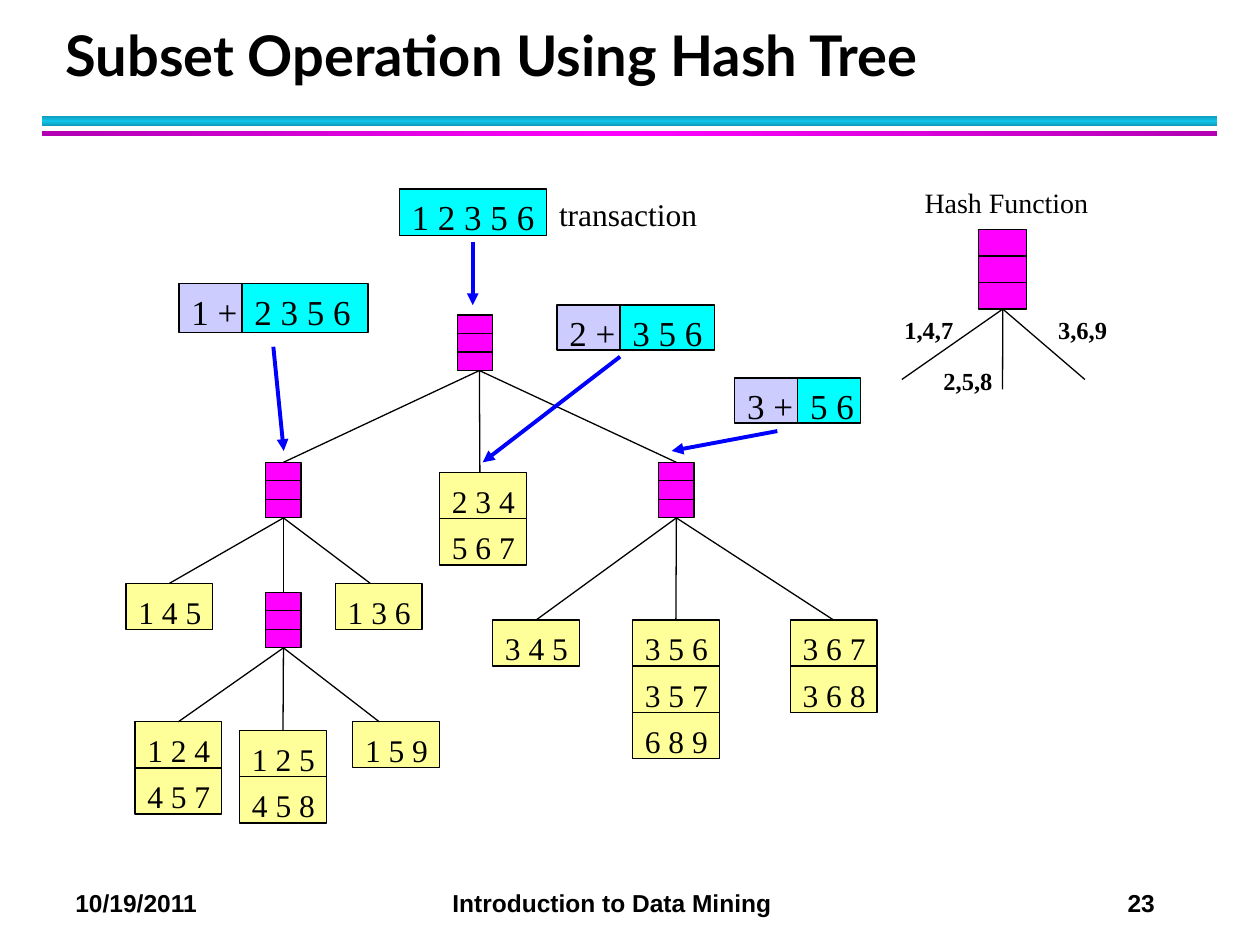
from copy import deepcopy

from lxml import etree
from pptx import Presentation
from pptx import util as u
from pptx.dml import color
from pptx.enum import shapes, text
from pptx.oxml import ns

BLACK = color.RGBColor(0x00, 0x00, 0x00)
BLUE = color.RGBColor(0x00, 0x00, 0xFF)
PINK = color.RGBColor(0xFF, 0x00, 0xFF)
PLUM = color.RGBColor(0xB2, 0x00, 0xB2)
CYAN = color.RGBColor(0x00, 0xFF, 0xFF)
LILAC = color.RGBColor(0xCC, 0xCC, 0xFF)
CREAM = color.RGBColor(0xFF, 0xFF, 0x99)
SKY = color.RGBColor(0x12, 0xC2, 0xE9)
TEAL = color.RGBColor(0x0E, 0x9B, 0xBA)

PAD = 0.25
NODE = (0.71, 1.12)
LEAF = (1.75, 0.93)
HEAD = 1.27

NODES = {"root": (6.68, 0), "left": (2.82, 2.97),
         "right": (10.74, 2.97), "low": (2.82, 5.59)}
LEAVES = [
    ("root", 6.32, 3.18, ["2 3 4", "5 6 7"]),
    ("left", 0, 5.41, ["1 4 5"]),
    ("left", 4.22, 5.41, ["1 3 6"]),
    ("right", 7.39, 6.15, ["3 4 5"]),
    ("right", 10.21, 6.15, ["3 5 6", "3 5 7", "6 8 9"]),
    ("right", 13.39, 6.15, ["3 6 7", "3 6 8"]),
    ("low", 0.18, 8.2, ["1 2 4", "4 5 7"]),
    ("low", 2.29, 8.38, ["1 2 5", "4 5 8"]),
    ("low", 4.57, 8.2, ["1 5 9"]),
]
LIMBS = [("root", "left"), ("root", "right"), ("left", "low")]
SHIFT = {"root": 0.09, "2 3 4": -0.06, "1 3 6": -0.17, "1 5 9": -0.34}
ARROWS = [
    ((9.53, 4.88), (9.53, 6.15)),
    ((5.51, 6.99), (5.72, 9.09)),
    ((12.5, 7.19), (9.73, 9.32)),
    ((15.67, 8.69), (13.54, 9.09)),
]


def write(frame, words, size=18, font="Times New Roman", bold=False, top=0.13,
          foot=0.13, wrap=True, anchor=text.MSO_ANCHOR.TOP, lead=None, tabs=()):
    frame.auto_size = text.MSO_AUTO_SIZE.NONE
    frame.word_wrap = wrap
    frame.vertical_anchor = anchor
    frame.margin_left, frame.margin_right = u.Cm(PAD), u.Cm(0)
    frame.margin_top, frame.margin_bottom = u.Cm(top), u.Cm(foot)
    para = frame.paragraphs[0]
    para.text = words
    para.alignment = text.PP_ALIGN.LEFT
    if lead:
        para.line_spacing = u.Pt(lead)
    if tabs:
        stops = etree.SubElement(para._p.get_or_add_pPr(), ns.qn("a:tabLst"))
        for stop in tabs:
            etree.SubElement(stops, ns.qn("a:tab"), pos=str(u.Cm(stop)), algn="l")
    face = para.runs[0].font
    face.size, face.name, face.bold = u.Pt(size), font, bold
    face.color.rgb = BLACK


def label(slide, x, y, w, h, words, **form):
    box = slide.shapes.add_textbox(u.Cm(x), u.Cm(y), u.Cm(w), u.Cm(h))
    write(box.text_frame, words, **form)


def block(slide, x, y, w, h, fill, words=None, **form):
    rect = slide.shapes.add_shape(shapes.MSO_SHAPE.RECTANGLE,
                                  u.Cm(x), u.Cm(y), u.Cm(w), u.Cm(h))
    rect.shadow.inherit = False
    rect.fill.solid()
    rect.fill.fore_color.rgb = fill
    rect.line.color.rgb = BLACK
    rect.line.width = u.Pt(0.75)
    if words:
        write(rect.text_frame, words, foot=0, **form)
    return rect


def line(slide, start, end, tint=BLACK, width=0.75, arrow=False):
    link = slide.shapes.add_connector(shapes.MSO_CONNECTOR.STRAIGHT,
                                      *(u.Cm(n) for n in (*start, *end)))
    link.line.color.rgb = tint
    link.line.width = u.Pt(width)
    if arrow:
        etree.SubElement(link.line._get_or_add_ln(), ns.qn("a:tailEnd"),
                         type="triangle")
    etree.SubElement(link._element.spPr, ns.qn("a:effectLst"))
    return link


def node(slide, x, y, w, h):
    rect = block(slide, x, y, w, h, PINK)
    for part in (1, 2):
        level = y + h * part / 3
        line(slide, (x, level), (x + w, level))
    return rect


def limb(slide, top, low, begin=0, end=0):
    start = ((top.left + top.width / 2) / u.Cm(1) + begin,
             (top.top + top.height) / u.Cm(1))
    stop = ((low.left + low.width / 2) / u.Cm(1) + end, low.top / u.Cm(1))
    link = line(slide, start, stop)
    if not begin:
        link.begin_connect(top, 2)
    if not end:
        link.end_connect(low, 0)


def tree(slide, x, y):
    nodes = {name: node(slide, x + dx, y + dy, *NODE)
             for name, (dx, dy) in NODES.items()}
    for top, low in LIMBS:
        limb(slide, nodes[top], nodes[low], SHIFT.get(top, 0))
    for top, dx, dy, sets in LEAVES:
        stack = [block(slide, x + dx, y + dy + row * LEAF[1], *LEAF, CREAM,
                       words, top=0.19) for row, words in enumerate(sets)]
        limb(slide, nodes[top], stack[0], SHIFT.get(top, 0), SHIFT.get(sets[0], 0))


def split(slide, x, y, w, h, first, rest):
    block(slide, x, y, HEAD, h, LILAC, first, size=20)
    block(slide, x + HEAD, y, w - HEAD, h, CYAN, rest, size=20)


def basket(slide, x, y, w, h):
    block(slide, x, y, w, h, CYAN, "1 2 3 5 6", size=20)
    label(slide, x + w, y, 3.28, 1.02, "transaction", wrap=False)


def hashing(slide, x, y):
    label(slide, x + 0.41, y, 3.81, 0.94, "Hash Function", size=16, wrap=False)
    rect = node(slide, x + 1.75, y + 1.02, 0.97, 1.6)
    for dx, dy in [(0.2, 4.04), (2.23, 4.24), (3.89, 4.04)]:
        link = line(slide, (x + 2.23, y + 2.62), (x + dx, y + dy))
        link.begin_connect(rect, 2)
    for dx, dy, words in [(0, 2.62, "1,4,7"), (0.79, 3.63, "2,5,8"),
                          (3.1, 2.62, "3,6,9")]:
        label(slide, x + dx, y + dy, 1.5, 0.86, words, size=14, bold=True,
              wrap=False)


def band(slide, x, y, w, h, edge, core, angle):
    bar = block(slide, x, y, w, h, core)
    bar.line.fill.background()
    bar.fill.gradient()
    bar.fill.gradient_angle = angle
    first = bar._element.spPr.find(".//" + ns.qn("a:gs"))
    first.addnext(deepcopy(first))
    for stop, place, tint in zip(bar.fill.gradient_stops, (0, 0.5, 1),
                                 (edge, core, edge)):
        stop.position = place
        stop.color.rgb = tint


def title(slide, x, y, w, h):
    box = slide.shapes.title
    box.left, box.top, box.width, box.height = (u.Cm(n) for n in (x, y, w, h))
    write(box.text_frame, "Subset Operation Using Hash Tree", size=32,
          font="Lato", bold=True, lead=36, anchor=text.MSO_ANCHOR.BOTTOM)


def footer(slide, x, y, w, h):
    label(slide, x, y, w, h, "10/19/2011\tIntroduction to Data Mining\t23",
          size=14, font="Arial", bold=True, tabs=(7.6, 21.21))


def main():
    deck = Presentation()
    deck.slide_width, deck.slide_height = u.Cm(25.4), u.Cm(19.05)
    slide = deck.slides.add_slide(deck.slide_layouts[5])
    band(slide, 0.84, 2.34, 23.7, 0.2, TEAL, SKY, 90)
    band(slide, 0.84, 2.64, 23.7, 0.1, PLUM, PINK, 0)
    title(slide, 1.07, 0.43, 23.01, 1.47)
    footer(slide, 1.27, 17.78, 23.7, 0.86)
    tree(slide, 2.54, 6.35)
    basket(slide, 8.05, 3.81, 2.97, 0.94)
    for start, end in ARROWS:
        line(slide, start, end, BLUE, 2.25, True)
    split(slide, 3.61, 5.72, 3.81, 0.99, "1 +", "2 3 5 6")
    split(slide, 11.23, 6.15, 3.18, 0.91, "2 +", "3 5 6")
    split(slide, 14.81, 7.62, 2.54, 0.91, "3 +", "5 6")
    hashing(slide, 17.98, 3.61)
    deck.save("out.pptx")


if __name__ == "__main__":
    main()
